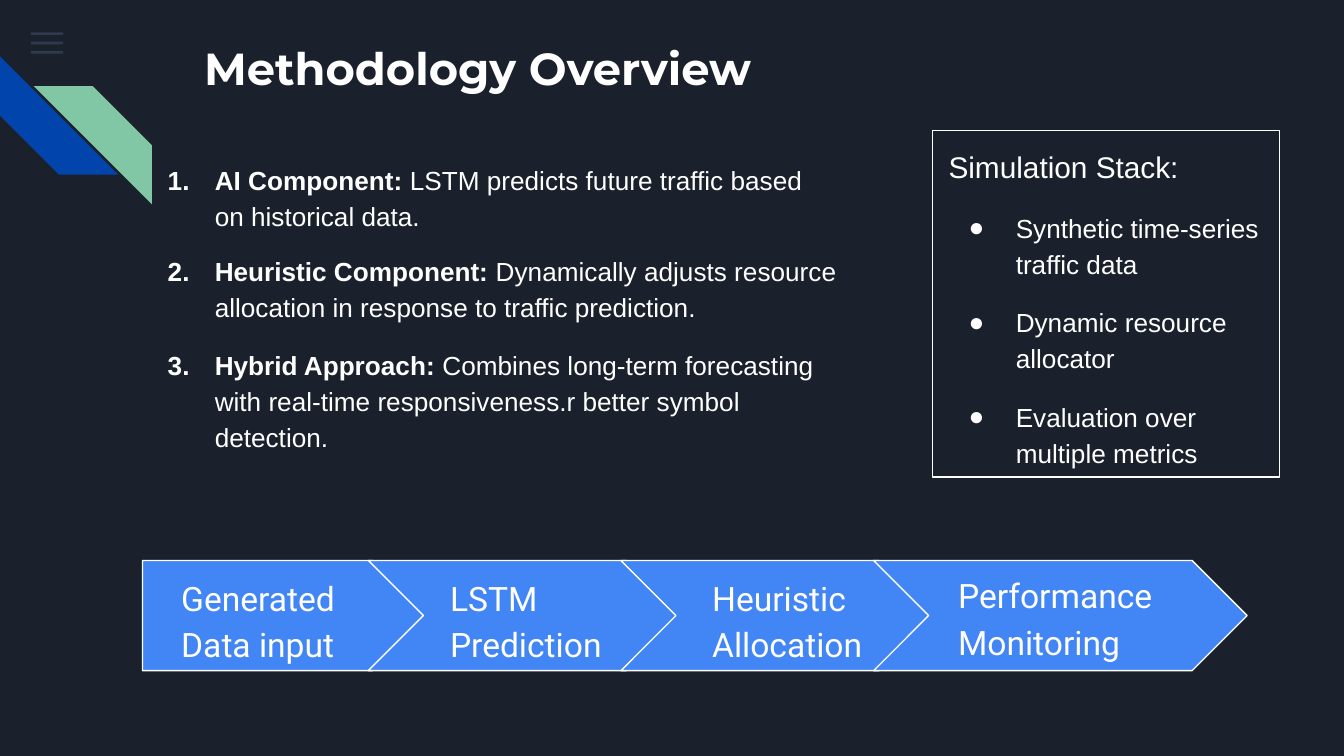
"""Build the Methodology Overview slide on a grid of 100 columns."""
import pptx
import pptx.util
import pptx.dml.color
import pptx.enum.shapes
import pptx.enum.text
import pptx.oxml
import pptx.oxml.ns

TITLE = "Methodology Overview"
PARTS = [
    ("AI Component:", " LSTM predicts future traffic based on historical data.", 0),
    ("Heuristic Component:", " Dynamically adjusts resource allocation in response to traffic prediction.", 10),
    ("Hybrid Approach:", " Combines long-term forecasting with real-time responsiveness.r better symbol detection.", 12),
]
STACK = "Simulation Stack:"
ITEMS = [
    "Synthetic time-series traffic data",
    "Dynamic resource allocator",
    "Evaluation over multiple metrics",
]
STEPS = [
    ("Generated\nData input", (12.5, 41.6, 16.5, 8.8)),
    ("LSTM Prediction", (32.5, 41.6, 18.1, 8.8)),
    ("Heuristic Allocation", (52, 41.6, 14.9, 8.8)),
    ("Performance Monitoring", (70.3, 41.4, 19.2, 8.8)),
]
THEME = {
    "back": "1B212C", "text": "FFFFFF", "menu": "55688B", "blue": "0145AC",
    "green": "82C7A5", "flow": "4285F4",
    "title": 24, "step": 18, "head": 16, "body": 14,
    "face": "Arial", "bold": "Montserrat", "flat": "Roboto",
}
CELL = pptx.util.Inches(0.1)
FORM = pptx.enum.shapes.MSO_SHAPE


def tint(name):
    return pptx.dml.color.RGBColor.from_string(THEME[name])


def place(box):
    return [round(side * CELL) for side in box]


def shape(slide, form, box, fill=None, line=None):
    item = slide.shapes.add_shape(form, *place(box))
    item.shadow.inherit = False
    if fill:
        item.fill.solid()
        item.fill.fore_color.rgb = tint(fill)
    else:
        item.fill.background()
    if line:
        item.line.color.rgb = tint(line)
        item.line.width = pptx.util.Pt(0.75)
    else:
        item.line.fill.background()
    return item


def textbox(slide, box, mid=False):
    frame = slide.shapes.add_textbox(*place(box)).text_frame
    frame.word_wrap = True
    frame.margin_left = frame.margin_right = CELL
    frame.margin_top = frame.margin_bottom = CELL
    if mid:
        frame.vertical_anchor = pptx.enum.text.MSO_ANCHOR.MIDDLE
    return frame


def write(para, text, size, face="face", bold=False):
    for row, part in enumerate(text.split("\n")):
        if row:
            para.add_line_break()
        run = para.add_run()
        run.text = part
        run.font.size = pptx.util.Pt(THEME[size])
        run.font.name = THEME[face]
        run.font.bold = bold
        run.font.color.rgb = tint("text")


def bullet(para, mark):
    props = para._p.get_or_add_pPr()
    props.set("marL", str(round(5 * CELL)))
    props.set("indent", str(round(-3.5 * CELL)))
    space = pptx.oxml.ns.nsdecls("a")
    for xml in (
        f'<a:buClr {space}><a:srgbClr val="{THEME["text"]}"/></a:buClr>',
        f'<a:buFont {space} typeface="{THEME["face"]}"/>',
        f"<a:{mark} {space}/>" if "=" not in mark else f"<a:{mark} {space}/>",
    ):
        props.append(pptx.oxml.parse_xml(xml))


def gap(para, before=0):
    para.line_spacing = 1.15
    para.space_before = pptx.util.Pt(before)


def decor(slide):
    for row in range(3):
        bar = shape(slide, FORM.RECTANGLE, (2.3, 2.4 + 0.7 * row, 2.4, 0.2), "menu")
        color = bar.fill._xPr.find(".//" + pptx.oxml.ns.qn("a:srgbClr"))
        space = pptx.oxml.ns.nsdecls("a")
        color.append(pptx.oxml.parse_xml(f'<a:alpha {space} val="36000"/>'))
    for left, top, turn, fill in ((0, 4.2, 270, "blue"), (2.5, 6.4, 90, "green")):
        band = shape(slide, FORM.DIAGONAL_STRIPE, (left, top, 8.8, 8.8), fill)
        band.rotation = turn


def parts(slide):
    frame = textbox(slide, (10, 10.9, 53.4, 23.7))
    for row, (name, text, before) in enumerate(PARTS):
        para = frame.add_paragraph() if row else frame.paragraphs[0]
        bullet(para, 'buAutoNum type="arabicPeriod"')
        gap(para, before)
        write(para, name, "body", bold=True)
        write(para, text, "body")


def stack(slide):
    frame = textbox(slide, (69.6, 9.7, 26.7, 26.1))
    gap(frame.paragraphs[0])
    write(frame.paragraphs[0], STACK, "head")
    for text in ITEMS:
        para = frame.add_paragraph()
        bullet(para, 'buChar char="●"')
        gap(para, 12)
        write(para, text, "body")
    shape(slide, FORM.RECTANGLE, (69.4, 9.7, 25.8, 25.8), line="text")


def flow(slide):
    last = len(STEPS) - 1
    for col, (text, box) in enumerate(STEPS):
        form = FORM.CHEVRON if col else FORM.PENTAGON
        left = 8.6 + 18.8 * col if col else 10.6
        wide = 21.2 if col == 0 else 27.8 if col == last else 23.3
        shape(slide, form, (left, 41.7, wide, 8.2), "flow", "text")
        para = textbox(slide, box, mid=True).paragraphs[0]
        gap(para)
        write(para, text, "step", "flat")


def main():
    deck = pptx.Presentation()
    deck.slide_width = 100 * CELL
    deck.slide_height = round(56.25 * CELL)
    slide = deck.slides.add_slide(deck.slide_layouts[6])
    slide.background.fill.solid()
    slide.background.fill.fore_color.rgb = tint("back")
    decor(slide)
    head = textbox(slide, (14.2, 2, 77, 10))
    write(head.paragraphs[0], TITLE, "title", "bold", True)
    parts(slide)
    stack(slide)
    flow(slide)
    deck.save("out.pptx")


if __name__ == "__main__":
    main()
